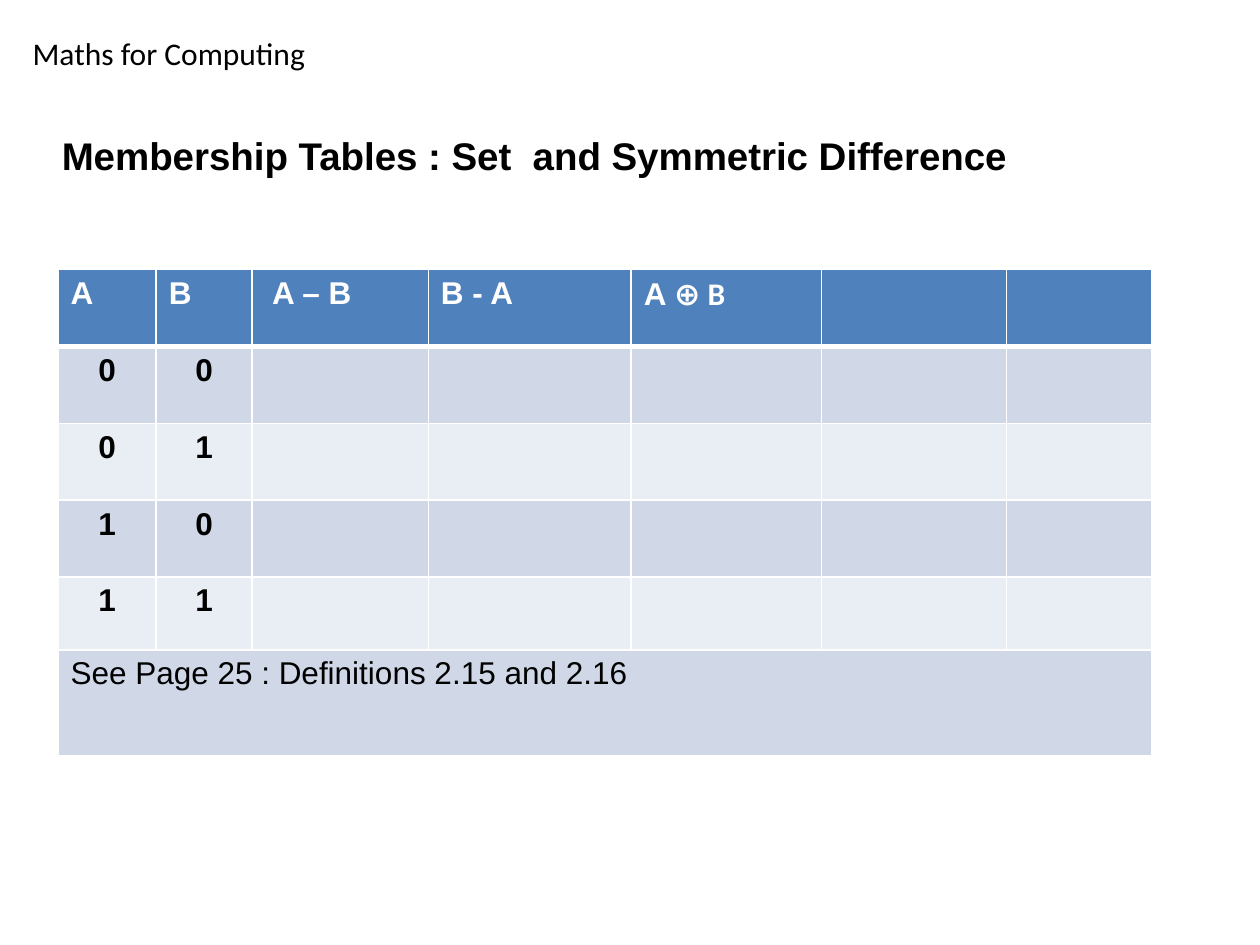
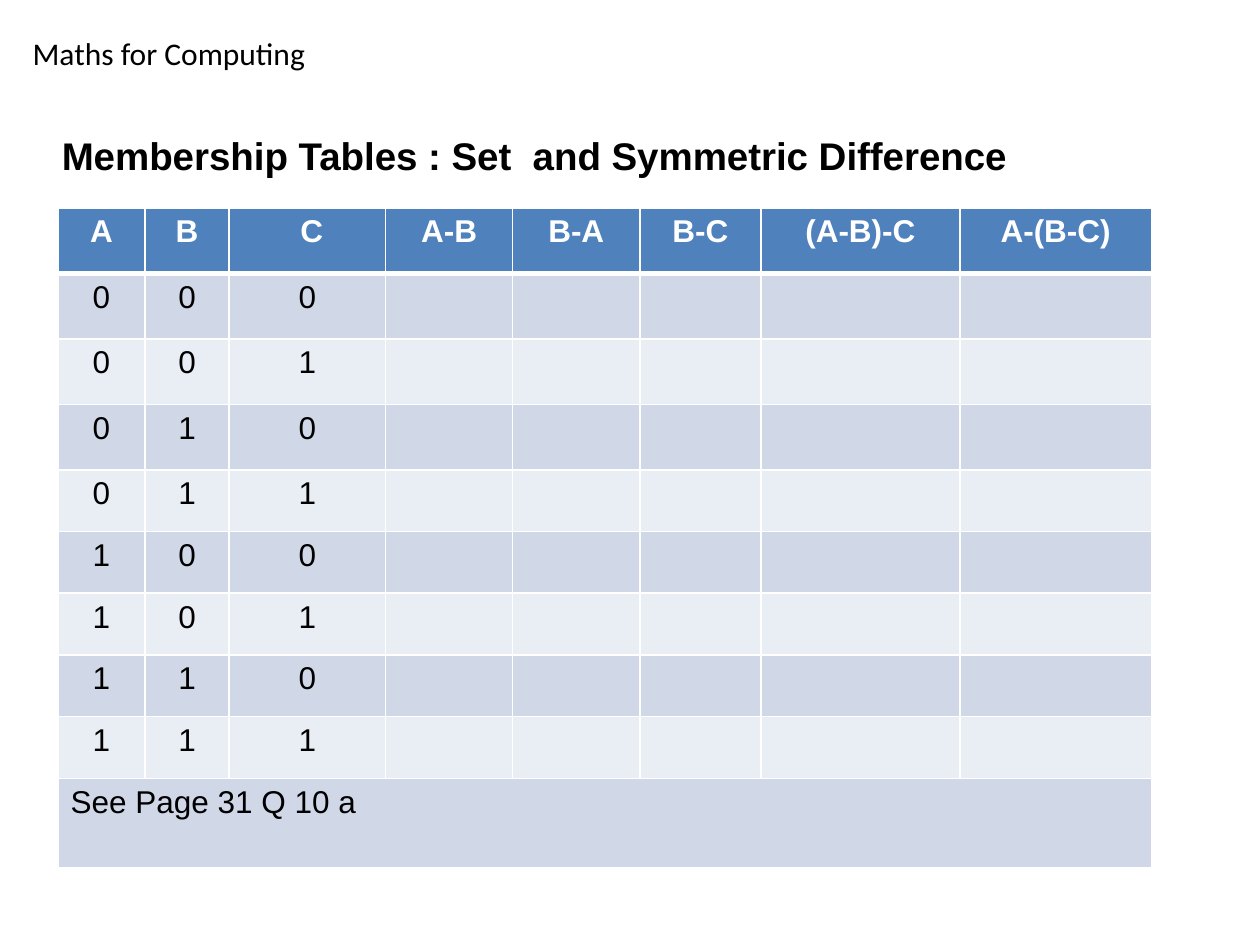
"""Build two slides of set-difference membership tables."""
import itertools

import pptx
import pptx.dml.color
import pptx.enum.text
import pptx.oxml
import pptx.oxml.ns
import pptx.util

Inches = pptx.util.Inches
Pt = pptx.util.Pt
RGBColor = pptx.dml.color.RGBColor
Align = pptx.enum.text.PP_ALIGN
Anchor = pptx.enum.text.MSO_ANCHOR

BLACK = RGBColor(0x00, 0x00, 0x00)
WHITE = RGBColor(0xFF, 0xFF, 0xFF)
HEADER_BLUE = RGBColor(0x4F, 0x81, 0xBD)
BANDS = (RGBColor(0xD0, 0xD8, 0xE8), RGBColor(0xE9, 0xED, 0xF4))
BODY_FONT, COURSE_FONT = "Arial", "Calibri"

COURSE = "Maths for Computing"
TITLE = "Membership Tables : Set  and Symmetric Difference"
TABLE_LEFT = 0.46
TABLES = [
    {
        "top": 2.14,
        "headings": ["A", "B", " A – B", "B - A", ("A ", "⊕ B"), "", ""],
        "sets": 2,
        "note": "See Page 25 : Definitions 2.15 and 2.16",
        "widths": [0.78, 0.76, 1.4, 1.61, 1.51, 1.47, 1.15],
        "heights": [0.61] * 4 + [0.58, 0.84],
        "heading_align": Align.LEFT,
        "bold_values": True,
    },
    {
        "top": 1.65,
        "headings": ["A", "B", " C", "A-B", "B-A", "B-C", "(A-B)-C", "A-(B-C)"],
        "sets": 3,
        "note": "See Page 31 Q 10 a",
        "widths": [0.69, 0.67, 1.24, 1.01, 1.01, 0.96, 1.58, 1.52],
        "heights": [0.52] * 4 + [0.49] * 5 + [0.71],
        "heading_align": Align.CENTER,
        "bold_values": False,
    },
]


def style_span(span, size, color, bold=False, font=BODY_FONT):
    span.font.name = font
    span.font.size = Pt(size)
    span.font.color.rgb = color
    span.font.bold = bold


def set_borders(cell, top, bottom):
    properties = cell._tc.get_or_add_tcPr()
    for side, width in (("L", 1), ("R", 1), ("T", top), ("B", bottom)):
        properties.append(pptx.oxml.parse_xml(
            f'<a:ln{side} {pptx.oxml.ns.nsdecls("a")} w="{Pt(width)}">'
            f'<a:solidFill><a:srgbClr val="{WHITE}"/></a:solidFill></a:ln{side}>'))


def write_cell(cell, content, align, color, bold):
    parts = content if isinstance(content, tuple) else (content,)
    para = cell.text_frame.paragraphs[0]
    para.alignment = align
    for part, font in zip(parts, (BODY_FONT, COURSE_FONT)):
        if part:
            span = para.add_run()
            span.text = part
            style_span(span, 18, color, bold, font)


def add_course_line(page):
    box = page.shapes.add_textbox(Inches(0.16), Inches(0.22), Inches(6.91), Inches(0.4))
    box.text_frame.word_wrap = True
    box.text_frame.text = COURSE
    style_span(box.text_frame.paragraphs[0].runs[0], 18, BLACK, font=COURSE_FONT)


def set_title(page):
    title = page.shapes.title
    title.left, title.top = Inches(0.39), Inches(1.02)
    title.width, title.height = Inches(8.12), Inches(0.43)
    frame = title.text_frame
    frame.text = TITLE
    frame.word_wrap = True
    frame.vertical_anchor = Anchor.MIDDLE
    para = frame.paragraphs[0]
    para.alignment = Align.LEFT
    style_span(para.runs[0], 22, BLACK, True)


def add_membership_table(page, data):
    widths, heights = data["widths"], data["heights"]
    last = len(heights) - 1
    table = page.shapes.add_table(
        len(heights), len(widths), Inches(TABLE_LEFT), Inches(data["top"]),
        Inches(sum(widths)), Inches(sum(heights))).table
    for column, width in zip(table.columns, widths):
        column.width = Inches(width)
    for row, height in zip(table.rows, heights):
        row.height = Inches(height)

    for number, row in enumerate(table.rows):
        for cell in row.cells:
            set_borders(cell, 3 if number == 1 else 1, 3 if number == 0 else 1)
            cell.fill.solid()
            cell.fill.fore_color.rgb = BANDS[(number - 1) % 2] if number else HEADER_BLUE

    for cell, heading in zip(table.rows[0].cells, data["headings"]):
        write_cell(cell, heading, data["heading_align"], WHITE, True)
    for number, values in enumerate(itertools.product("01", repeat=data["sets"]), 1):
        for cell, value in zip(table.rows[number].cells, values):
            write_cell(cell, value, Align.CENTER, BLACK, data["bold_values"])
    note = table.cell(last, 0)
    note.merge(table.cell(last, len(widths) - 1))
    write_cell(note, data["note"], Align.LEFT, BLACK, False)


deck = pptx.Presentation()
deck.slide_width, deck.slide_height = Inches(10), Inches(7.5)
for data in TABLES:
    page = deck.slides.add_slide(deck.slide_layouts[5])
    add_course_line(page)
    set_title(page)
    add_membership_table(page, data)
deck.save("out.pptx")
